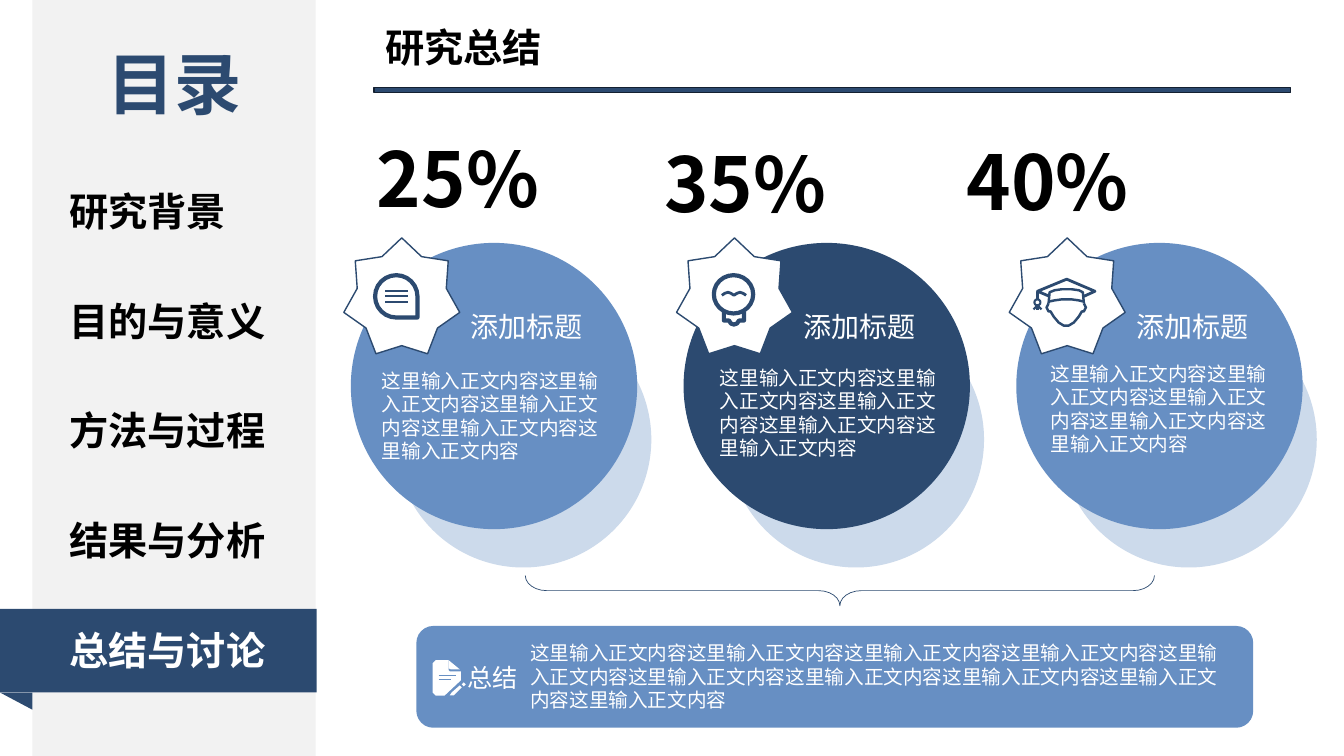
from lxml import etree
from pptx import Presentation
from pptx.dml.color import RGBColor
from pptx.enum.shapes import MSO_CONNECTOR, MSO_SHAPE as Geo
from pptx.enum.text import MSO_ANCHOR, MSO_AUTO_SIZE as Fit, PP_ALIGN as Align
from pptx.oxml.ns import qn
from pptx.util import Inches, Pt

FONT = "Noto Sans CJK SC"
HUES = {"navy": "2C4A70", "blue": "678FC3", "pale": "CCDAEB", "grey": "F2F2F2",
        "edge": "132031", "white": "FFFFFF", "black": "000000"}
RGB = {name: RGBColor.from_string(code) for name, code in HUES.items()}

deck = Presentation()
deck.slide_width, deck.slide_height = Inches(13.33), Inches(7.5)
slide = deck.slides.add_slide(deck.slide_layouts[5])
items = slide.shapes


def add_text(text, at, size, hue="white", bold=False, align=Align.LEFT,
             wrap=True, fit=Fit.SHAPE_TO_FIT_TEXT, box=None):
    """Write text into box, or into a new text box when none is given."""
    box = box or items.add_textbox(0, 0, 0, 0)
    box.left, box.top, box.width, box.height = map(Inches, at)
    frame = box.text_frame
    frame.text = text
    frame.word_wrap = wrap
    frame.auto_size = fit
    frame.vertical_anchor = MSO_ANCHOR.TOP
    frame.paragraphs[0].alignment = align
    run = frame.paragraphs[0].runs[0]
    run.font.name, run.font.size, run.font.bold = FONT, Pt(size), bold
    run.font.color.rgb = RGB[hue]
    etree.SubElement(run.font._element, qn("a:ea")).set("typeface", FONT)


def add_shape(geo, at, fill=None, line=None, width=1, turn=0):
    """Draw a preset shape, or an outline when geo is a list of points."""
    if isinstance(geo, list):
        dots = [(Inches(x), Inches(y)) for x, y in geo]
        pen = items.build_freeform(*dots[0])
        pen.add_line_segments(dots[1:], close=bool(fill))
        shape = pen.convert_to_shape()
    else:
        shape = items.add_shape(geo, *map(Inches, at))
    shape.shadow.inherit = False
    shape.rotation = turn
    if fill:
        shape.fill.solid()
        shape.fill.fore_color.rgb = RGB[fill]
    else:
        shape.fill.background()
    if line:
        shape.line.color.rgb = RGB[line]
        shape.line.width = Pt(width)
    else:
        shape.line.fill.background()
    return shape


# Sidebar
add_shape(Geo.RECTANGLE, (0.32, 0, 2.81, 7.5), "grey")
add_shape(Geo.RECTANGLE, (0, 6.04, 3.14, 0.83), "navy")
add_shape(Geo.RIGHT_TRIANGLE, (0, 6.87, 0.32, 0.17), "navy", turn=180)
add_text("目录", (0.76, 0.37, 1.94, 0.91), 48, "navy", True, Align.CENTER)
parts = ["研究背景", "目的与意义", "方法与过程", "结果与分析", "总结与讨论"]
for i, part in enumerate(parts):
    hue = "white" if part == parts[-1] else "black"
    add_text(part, (0.59, 1.81 + 4.35 * i / 4, 2.21, 0.57), 28, hue, True)

# Heading
add_text("研究总结", (3.72, 0.18, 4.93, 0.57), 28, "black", True, box=items.title)
add_shape(Geo.RECTANGLE, (3.71, 0.87, 9.09, 0.05), "navy", "edge")

# Three circles: share, share place, circle colour, body place
BODY = "这里输入正文内容"
cards = [("25%", 3.64, 1.26, "blue", 3.69, 3.61),
         ("35%", 6.49, 1.31, "navy", 7.04, 3.58),
         ("40%", 9.49, 1.29, "blue", 10.32, 3.54)]
for i, (share, x, y, hue, left, top) in enumerate(cards):
    dx = 3.3 * i
    add_text(share, (x, y, 1.84, 1.01), 54, "black", True, wrap=False)
    add_shape(Geo.OVAL, (3.92 + dx, 3.09, 2.54, 2.54), "pale")
    add_shape(Geo.OVAL, (3.48 + dx, 2.41, 2.84, 2.84), hue)
    star = add_shape(Geo.STAR_7_POINT, (3.41 + dx, 2.36, 1.15, 1.15), "white", "navy")
    star.adjustments[0] = 0.384
    add_text("添加标题", (4.57 + dx, 3.02, 1.44, 0.44), 20, align=Align.JUSTIFY)
    add_text(BODY * 5, (left, top, 2.38, 1.26), 14, fit=Fit.NONE)

# Summary
brace = add_shape(Geo.RIGHT_BRACE, (8.18, 2.74, 0.3, 6.24), None, "navy", 0.5, 90)
brace.adjustments[0], brace.adjustments[1] = 0.707, 0.5
add_shape(Geo.ROUNDED_RECTANGLE, (4.13, 6.21, 8.3, 1.01), "blue")
add_text(BODY * 10, (5.16, 6.31, 7.17, 0.81), 14)
add_text("总结", (4.54, 6.52, 0.77, 0.42), 18)

# Icons: speech bubble, bulb and tassel knot
add_shape(Geo.TEAR, (3.72, 2.73, 0.42, 0.42), None, "navy", 3, 90)
add_shape(Geo.OVAL, (7.08, 2.73, 0.39, 0.38), None, "navy", 3)
add_shape(Geo.OVAL, (10.26, 2.97, 0.06, 0.06), None, "navy", 1.5)

wave = [(7.16, 2.93), (7.19, 2.91), (7.22, 2.9), (7.25, 2.91), (7.28, 2.93),
        (7.31, 2.91), (7.34, 2.9), (7.37, 2.91), (7.4, 2.93)]
socket = [(7.18, 3.09), (7.18, 3.18), (7.23, 3.18), (7.25, 3.21), (7.28, 3.22),
          (7.31, 3.21), (7.33, 3.18), (7.38, 3.18), (7.38, 3.09)]
board = [(10.41, 2.94), (10.29, 2.89), (10.58, 2.77), (10.86, 2.89), (10.75, 2.94)]
crown = [(10.4, 3.01), (10.41, 2.9), (10.46, 2.88), (10.53, 2.87), (10.63, 2.87),
         (10.7, 2.88), (10.74, 2.9), (10.75, 3.01)]
band = [(10.41, 2.99), (10.46, 2.98), (10.53, 2.97), (10.63, 2.97), (10.7, 2.98),
        (10.74, 2.99)]
face = [(10.4, 3.01), (10.38, 3.05), (10.4, 3.09), (10.42, 3.09), (10.45, 3.14),
        (10.5, 3.2), (10.55, 3.23), (10.6, 3.23), (10.65, 3.2), (10.7, 3.14),
        (10.73, 3.09), (10.75, 3.09), (10.77, 3.05), (10.75, 3.01)]
for points, width in [(wave, 2), (socket, 3), (board, 2), (crown, 1.75),
                      (band, 1.75), (face, 1.75)]:
    add_shape(points, None, line="navy", width=width)

page = [(4.32, 6.55), (4.45, 6.55), (4.45, 6.65), (4.46, 6.66), (4.57, 6.66),
        (4.57, 6.75), (4.41, 6.9), (4.32, 6.9), (4.29, 6.87), (4.29, 6.58)]
fold = [(4.45, 6.55), (4.56, 6.64), (4.47, 6.64), (4.45, 6.63)]
pencil = [(4.56, 6.8), (4.58, 6.82), (4.5, 6.9), (4.46, 6.9), (4.48, 6.87)]
rubber = [(4.6, 6.77), (4.62, 6.79), (4.6, 6.81), (4.58, 6.79)]
for points in (page, fold, pencil, rubber):
    add_shape(points, None, "white")

strokes = [(3.82, y, 4.05, y, "navy", 1.5) for y in (2.89, 2.94, 3)]
strokes += [(10.29, 3.03, x, y, "navy", 1.5)
            for x, y in [(10.25, 3.07), (10.29, 3.08), (10.33, 3.07)]]
strokes += [(10.29, 2.9, 10.29, 2.97, "navy", 1.5),
            (4.35, 6.7, 4.52, 6.7, "blue", 1), (4.35, 6.74, 4.47, 6.74, "blue", 1)]
for *ends, hue, width in strokes:
    link = items.add_connector(MSO_CONNECTOR.STRAIGHT, *map(Inches, ends))
    link.line.color.rgb, link.line.width = RGB[hue], Pt(width)
    etree.SubElement(link._element.spPr, qn("a:effectLst"))

deck.save("out.pptx")
